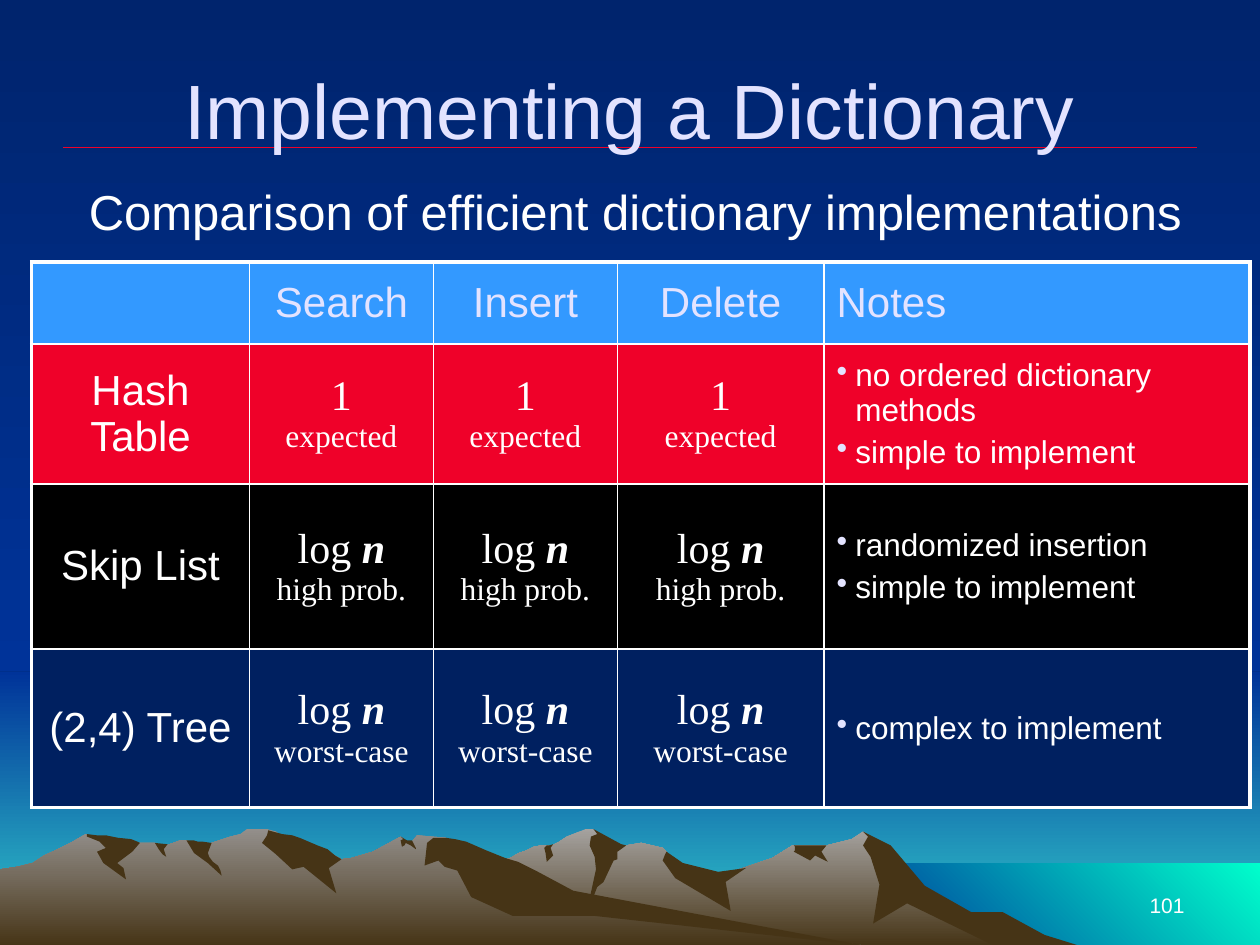
from lxml import etree
from pptx import Presentation
from pptx import util as u
from pptx.dml.color import RGBColor
from pptx.enum import shapes, text
from pptx.oxml.ns import qn

PX = 9144  # EMU per px, 100 px to the inch
WHITE, LILAC, RED, NAVY, BLUE, EARTH = "FFFFFF", "E3E3FF", "EF0129", "00246D", "003399", "463416"
SANS, SERIF = "Arial", "Times New Roman"
LEFT, CENTER, RIGHT = text.PP_ALIGN.LEFT, text.PP_ALIGN.CENTER, text.PP_ALIGN.RIGHT
TOP, MIDDLE, BOTTOM = text.MSO_ANCHOR.TOP, text.MSO_ANCHOR.MIDDLE, text.MSO_ANCHOR.BOTTOM


def color(value):
    return RGBColor.from_string(value)


def px(value):
    return u.Emu(value * PX)


class SlideBuilder:
    def __init__(self, slide):
        self.slide = slide

    def paint(self, fill, paint, angle=270):
        """A hex string gives a solid fill, a pair of them a gradient."""
        if isinstance(paint, str):
            fill.solid()
            fill.fore_color.rgb = color(paint)
            return
        fill.gradient()
        fill.gradient_angle = angle
        for stop, value in zip(fill.gradient_stops, paint):
            stop.color.rgb = color(value)

    def finish(self, shape, paint, angle=270):
        shape.shadow.inherit = False
        shape.line.fill.background()
        self.paint(shape.fill, paint, angle)

    def rectangle(self, left, top, width, height, paint, angle=270):
        shape = self.slide.shapes.add_shape(
            shapes.MSO_SHAPE.RECTANGLE, px(left), px(top), px(width), px(height))
        self.finish(shape, paint, angle)

    def polygon(self, outline, paint):
        points = [tuple(map(int, pair.split(","))) for pair in outline.split()]
        builder = self.slide.shapes.build_freeform(*points[0], scale=PX)
        builder.add_line_segments(points[1:], close=True)
        self.finish(builder.convert_to_shape(), paint)

    def line(self, x1, y1, x2, y2, value, width):
        connector = self.slide.shapes.add_connector(
            shapes.MSO_CONNECTOR.STRAIGHT, px(x1), px(y1), px(x2), px(y2))
        connector.line.color.rgb = color(value)
        connector.line.width = u.Pt(width)
        etree.SubElement(connector._element.spPr, qn("a:effectLst"))

    def font(self, font, size, value=WHITE, name=SANS):
        font.size, font.name = u.Pt(size), name
        font.color.rgb = color(value)

    def text_box(self, left, top, width, height, words, size, value, align, anchor):
        frame = self.slide.shapes.add_textbox(px(left), px(top), px(width), px(height)).text_frame
        frame.word_wrap = True
        frame.vertical_anchor = anchor
        frame.text = words
        paragraph = frame.paragraphs[0]
        paragraph.alignment = align
        self.font(paragraph.runs[0].font, size, value)

    def table(self, left, top, columns, rows):
        frame = self.slide.shapes.add_table(
            len(rows), len(columns), px(left), px(top), px(sum(columns)), px(sum(rows)))
        table = frame.table
        table.first_row = table.horz_banding = False
        for column, width in zip(table.columns, columns):
            column.width = px(width)
        for row, height in zip(table.rows, rows):
            row.height = px(height)
        return table

    def cell(self, table, row, column, fill):
        cell = table.cell(row, column)
        cell.vertical_anchor = MIDDLE
        outer = {"L": column == 0, "R": column == len(table.columns) - 1,
                 "T": row == 0, "B": row == len(table.rows) - 1}
        for side, is_outer in outer.items():
            border = etree.SubElement(cell._tc.get_or_add_tcPr(), qn("a:ln" + side),
                                      w=str(u.Pt(2.25 if is_outer else 1)))
            solid = etree.SubElement(border, qn("a:solidFill"))
            etree.SubElement(solid, qn("a:srgbClr"), val=WHITE)
        self.paint(cell.fill, fill)
        return cell

    def label(self, cell, words, value=WHITE, align=CENTER):
        cell.text_frame.text = words
        paragraph = cell.text_frame.paragraphs[0]
        paragraph.alignment = align
        self.font(paragraph.font, 24, value)
        for run in paragraph.runs:
            self.font(run.font, 24, value)

    def cost(self, cell, bound, variable, condition):
        """A large bound, its variable in bold italics, and a condition below."""
        paragraph = cell.text_frame.paragraphs[0]
        paragraph.alignment = CENTER
        for words, size in ((bound, 24), (variable, 24), (condition, 18)):
            if not words:
                continue
            if words == condition:
                paragraph.add_line_break()
            run = paragraph.add_run()
            run.text = words
            self.font(run.font, size, name=SERIF)
            run.font.bold = run.font.italic = words == variable

    def notes(self, cell, items):
        cell.text_frame.text = "\n".join(items)
        for index, paragraph in enumerate(cell.text_frame.paragraphs):
            properties = paragraph._p.get_or_add_pPr()
            properties.set("marL", str(px(15)))
            properties.set("indent", str(px(-15)))
            bullet_color = etree.SubElement(properties, qn("a:buClr"))
            etree.SubElement(bullet_color, qn("a:srgbClr"), val=LILAC)
            etree.SubElement(properties, qn("a:buChar"), char="•")
            if index:
                paragraph.space_before = u.Pt(3.6)
            self.font(paragraph.runs[0].font, 18)


RIGHT_RIDGE = """802,740 778,727 764,723 723,698 702,671 685,660 676,666 656,671 629,671 613,681
    566,697 536,690 529,676 526,673 509,669 497,671 486,673 474,661 471,658 465,658 450,664 444,668
    438,671 430,671 424,672 418,675 412,677 405,681 399,683 394,685 355,698 327,709 277,739 258,751
    821,751"""
LEFT_RIDGE = """690,751 667,748 432,712 354,665 331,663 327,668 323,668 318,664 296,676 279,681
    271,682 260,676 236,681 223,663 219,660 212,658 196,658 191,662 183,664 168,669 160,671 148,667
    143,667 132,671 128,671 123,669 111,669 94,671 68,662 56,669 46,674 35,679 26,685 14,688 0,690
    0,751"""
RIGHT_SHADOWS = [
    """796,724 771,724 734,703 707,671 685,660 689,664 685,671 691,680 698,702 693,733 720,717
    792,752 858,751 829,742""",
    """471,658 474,662 469,664 468,671 472,680 473,690 465,727 474,704 479,700 487,683 490,682
    490,676 497,671 493,670""",
    "529,676 528,678 526,683 536,697 580,723 576,700 592,689 570,692 542,685",
    "650,671 630,671 631,672 631,675 630,676 643,683 647,679 657,684 652,676 656,671",
    "433,677 432,673 434,671 436,671 439,670 437,673 439,679 434,684",
]
LEFT_SHADOWS = [
    """212,663 208,669 219,678 232,690 241,688 267,709 261,689 271,682 266,679 260,674 252,671
    245,668 238,665 232,663 224,662 213,659""",
    """370,668 361,666 354,665 344,665 339,669 337,687 348,683 353,688 363,691 374,712 407,727
    472,727 690,751 683,750 455,707 427,692 411,684 401,681 386,675""",
    """318,667 320,666 318,664 323,667 327,667 328,669 330,673 330,674 326,671 322,669 321,671
    319,672""",
    """154,667 157,668 161,668 168,669 165,677 166,680 169,684 173,687 175,691 176,695 165,685
    154,677 148,667""",
    "133,670 130,674 132,680 129,678 126,674 123,669",
    """109,668 111,669 105,676 93,685 98,689 100,698 82,685 77,676 84,673 79,668 69,664 69,662
    77,663 84,663 94,665 104,666""",
]
HEADERS = ["Search", "Insert", "Delete"]
IMPLEMENTATIONS = [
    ("Hash Table", RED, ("1", "", "expected"),
     ["no ordered dictionary methods", "simple to implement"]),
    ("Skip List", "000000", ("log ", "n", "high prob."),
     ["randomized insertion", "simple to implement"]),
    ("(2,4) Tree", "002060", ("log ", "n", "worst-case"), ["complex to implement"]),
]


def main():
    presentation = Presentation()
    presentation.slide_width, presentation.slide_height = px(1000), px(750)
    slide = presentation.slides.add_slide(presentation.slide_layouts[6])
    builder = SlideBuilder(slide)

    # Sky and sea
    builder.paint(slide.background.fill, (NAVY, BLUE))
    builder.rectangle(0, 533, 1000, 217, (BLUE, "33CCCC"))
    builder.rectangle(0, 0, 1000, 533, (NAVY, BLUE))
    builder.rectangle(683, 685, 317, 67, (BLUE, "00FFCC"), angle=45)

    # Mountains, each ridge followed by its shadows
    for ridge, light, shadows in ((RIGHT_RIDGE, "A5A29F", RIGHT_SHADOWS),
                                  (LEFT_RIDGE, "938F8B", LEFT_SHADOWS)):
        builder.polygon(ridge, (light, EARTH))
        for shadow in shadows:
            builder.polygon(shadow, EARTH)

    # Headings and slide number
    builder.line(50, 117, 950, 117, RED, 0.75)
    builder.text_box(717, 683, 233, 50, "101", 12, WHITE, RIGHT, BOTTOM)
    builder.text_box(50, 48, 900, 76, "Implementing a Dictionary", 44, LILAC, CENTER, MIDDLE)
    builder.text_box(33, 139, 942, 86, "Comparison of efficient dictionary implementations",
                     28, WHITE, CENTER, TOP)

    # Comparison table
    table = builder.table(25, 208, [173, 146, 146, 164, 338], [65, 111, 131, 126])
    for column, header in enumerate(["", *HEADERS, "Notes"]):
        cell = builder.cell(table, 0, column, "3399FF")
        builder.label(cell, header, LILAC, LEFT if header == "Notes" else CENTER)
    for row, (name, fill, cost, notes) in enumerate(IMPLEMENTATIONS, 1):
        builder.label(builder.cell(table, row, 0, fill), name)
        for column in range(1, len(HEADERS) + 1):
            builder.cost(builder.cell(table, row, column, fill), *cost)
        builder.notes(builder.cell(table, row, len(HEADERS) + 1, fill), notes)

    presentation.save("out.pptx")


if __name__ == "__main__":
    main()
